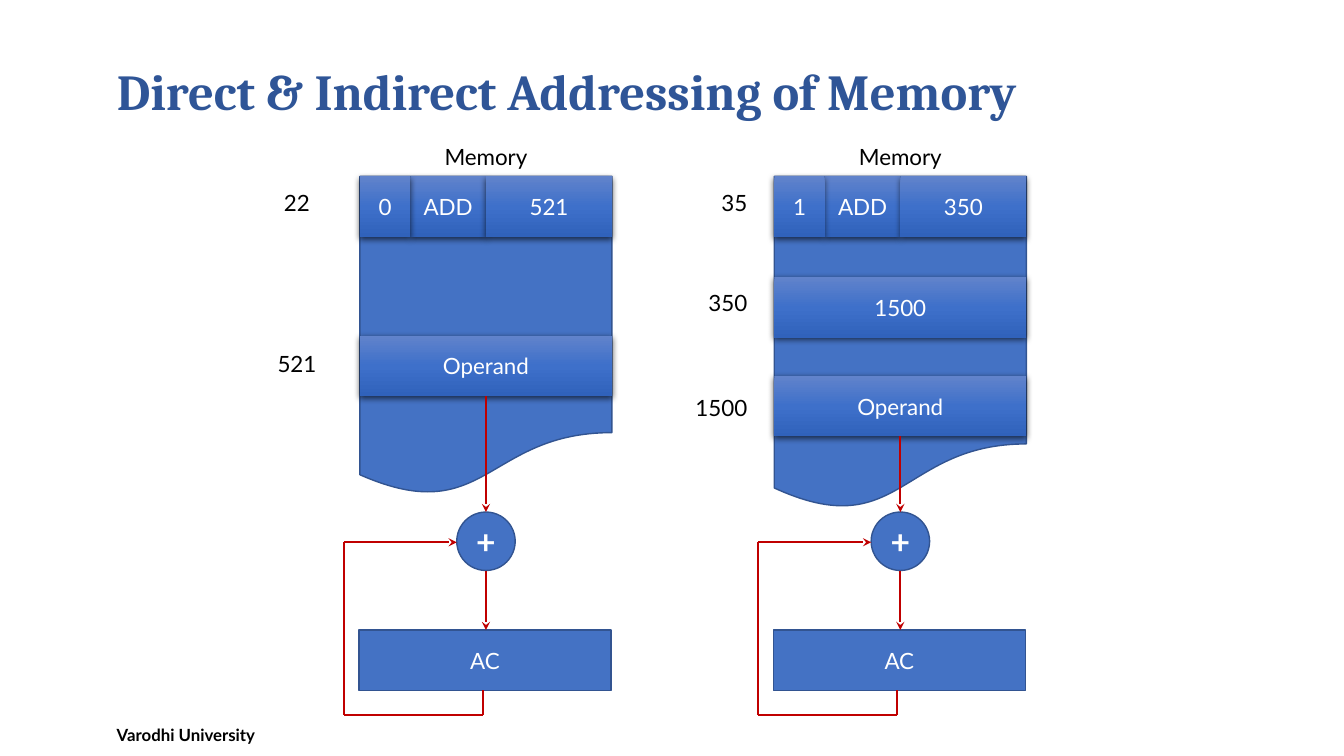
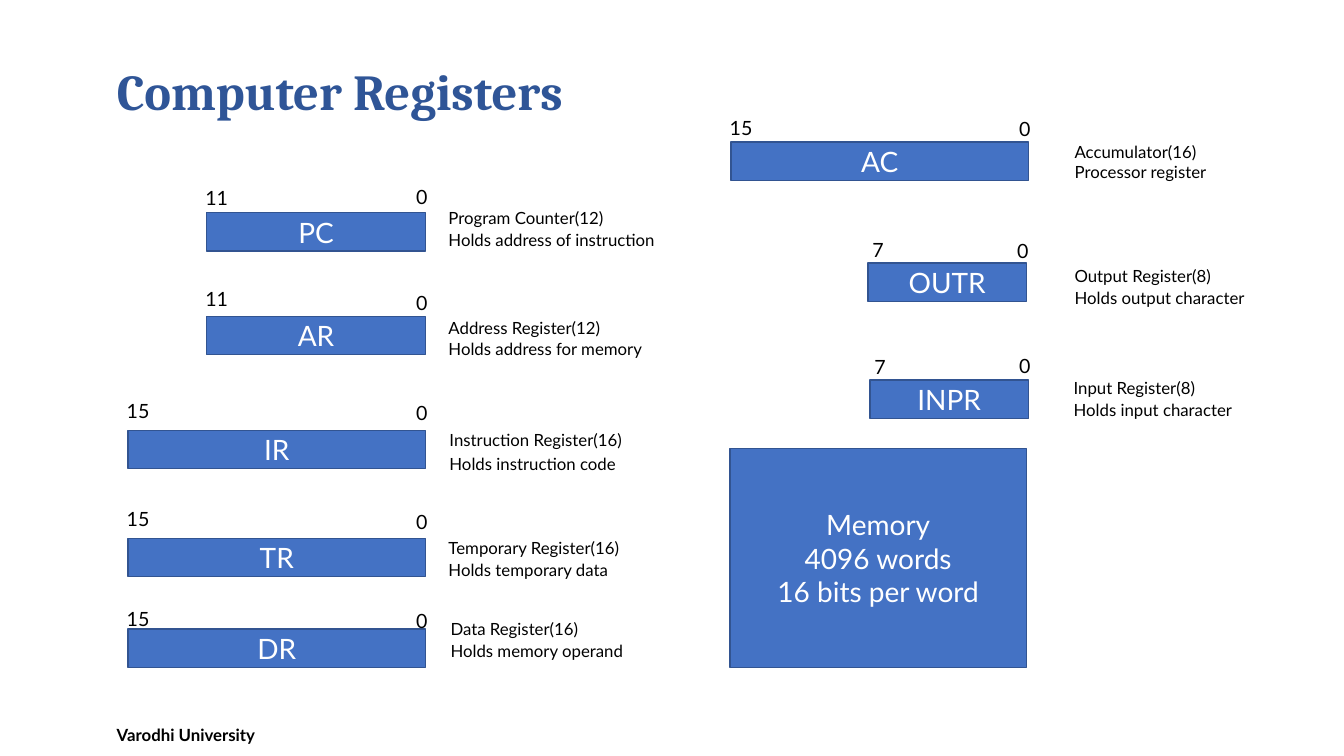
"""Build two slides on memory addressing and computer registers."""

from copy import deepcopy
from dataclasses import dataclass
from typing import Any

from lxml import etree
from pptx import Presentation
from pptx.dml.color import RGBColor
from pptx.enum.shapes import MSO_CONNECTOR, MSO_SHAPE
from pptx.enum.text import MSO_ANCHOR, MSO_AUTO_SIZE, PP_ALIGN
from pptx.oxml.ns import qn
from pptx.util import Inches, Pt

RECTANGLE = MSO_SHAPE.RECTANGLE
DOCUMENT = MSO_SHAPE.FLOWCHART_DOCUMENT
OVAL = MSO_SHAPE.OVAL
STRAIGHT = MSO_CONNECTOR.STRAIGHT
TOP, MIDDLE = MSO_ANCHOR.TOP, MSO_ANCHOR.MIDDLE
LEFT, CENTER, RIGHT = PP_ALIGN.LEFT, PP_ALIGN.CENTER, PP_ALIGN.RIGHT
NO_AUTOFIT = MSO_AUTO_SIZE.NONE

WHITE = RGBColor(0xFF, 0xFF, 0xFF)
BLACK = RGBColor(0x00, 0x00, 0x00)
TITLE_BLUE = RGBColor(0x2F, 0x55, 0x97)
FILL_BLUE = RGBColor(0x44, 0x72, 0xC4)
EDGE_BLUE = RGBColor(0x32, 0x54, 0x91)
ARROW_RED = RGBColor(0xC0, 0x00, 0x00)
CELL_STOPS = (
    (0.0, RGBColor(0x61, 0x83, 0xCB)),
    (0.5, RGBColor(0x3E, 0x70, 0xCA)),
    (1.0, RGBColor(0x30, 0x62, 0xBB)),
)

TITLE_FONT = {"name": "Cambria", "size": Pt(36), "bold": True}
FOOTER_FONT = {"name": "Lato", "size": Pt(12), "bold": True}
NOTE_FONT = {"name": "Lato", "size": Pt(12)}
BIT_FONT = {"name": "Lato", "size": Pt(14)}
MEMORY_FONT = {"name": "Lato", "size": Pt(16)}
REGISTER_FONT = {"name": "Lato", "size": Pt(20)}
PLUS_FONT = {"name": "Lato", "size": Pt(24), "bold": True}

CELL_HEIGHT = 0.6
MEMORY_WIDTH = 2.5
MEMORY_TOP = 1.75
REGISTER_HEIGHT = 0.38
REGISTER_WIDTHS = {8: 1.57, 12: 2.17, 16: 2.95}


@dataclass(frozen=True)
class MemoryWord:
    """A full-width memory word and its address."""

    text: str
    top: float
    address: str
    address_top: float


@dataclass(frozen=True)
class Addressing:
    """One addressing diagram."""

    left: float
    height: float
    mode: str
    target: str
    address: str
    address_align: Any
    words: tuple[MemoryWord, ...]


@dataclass(frozen=True)
class Register:
    """A register with its bit numbers and two notes."""

    name: str
    bits: int
    right: float
    top: float
    bit_tops: tuple[float, float]
    note_left: float
    notes: tuple[str, str]
    note_tops: tuple[float, float]


DIAGRAMS = (
    Addressing(3.57, 3.17, "0", "521", "22", CENTER, (
        MemoryWord("Operand", 3.33, "521", 3.42),
    )),
    Addressing(7.68, 3.31, "1", "350", "35", RIGHT, (
        MemoryWord("1500", 2.75, "350", 2.82),
        MemoryWord("Operand", 3.73, "1500", 3.86),
    )),
)

REGISTERS = (
    Register("PC", 12, 4.22, 2.11, (1.8, 1.79), 4.35,
             ("Program Counter(12)", "Holds address of instruction"), (2.01, 2.23)),
    Register("AR", 12, 4.22, 3.14, (2.8, 2.84), 4.35,
             ("Address Register(12)", "Holds address for memory"), (3.1, 3.31)),
    Register("IR", 16, 4.22, 4.27, (3.91, 3.93), 4.36,
             ("Instruction Register(16)", "Holds instruction code"), (4.21, 4.45)),
    Register("TR", 16, 4.22, 5.34, (4.98, 5.01), 4.35,
             ("Temporary Register(16)", "Holds temporary data"), (5.29, 5.5)),
    Register("DR", 16, 4.22, 6.24, (5.97, 5.99), 4.37,
             ("Data Register(16)", "Holds memory operand"), (6.09, 6.31)),
    Register("AC", 16, 10.2, 1.41, (1.1, 1.11), 10.56,
             ("Accumulator(16)", "Processor register"), (1.36, 1.56)),
    Register("OUTR", 8, 10.18, 2.61, (2.31, 2.32), 10.56,
             ("Output Register(8)", "Holds output character"), (2.59, 2.81)),
    Register("INPR", 8, 10.2, 3.77, (3.47, 3.46), 10.55,
             ("Input Register(8)", "Holds input character"), (3.7, 3.92)),
)


def apply(target: Any, values: dict[str, Any]) -> None:
    """Set each named attribute on the target."""
    for name, value in values.items():
        setattr(target, name, value)


def write(box: Any, text: str, font: dict[str, Any], color: RGBColor,
          align: Any = CENTER, anchor: Any = MIDDLE) -> None:
    """Fill a box with one formatted paragraph per line."""
    frame = box.text_frame
    apply(frame, {"text": text, "word_wrap": True, "auto_size": NO_AUTOFIT,
                  "vertical_anchor": anchor})
    for para in frame.paragraphs:
        para.alignment = align
        for span in para.runs:
            apply(span.font, font)
            span.font.color.rgb = color


def add_label(page: Any, left: float, top: float, width: float, height: float,
              text: str, font: dict[str, Any], align: Any = CENTER,
              anchor: Any = TOP) -> None:
    """Add black text in a box."""
    box = page.shapes.add_textbox(
        Inches(left), Inches(top), Inches(width), Inches(height))
    write(box, text, font, BLACK, align, anchor)


def add_block(page: Any, kind: Any, left: float, top: float, width: float,
              height: float, text: str = "",
              font: dict[str, Any] = MEMORY_FONT) -> Any:
    """Add a flat blue shape with white text."""
    block = page.shapes.add_shape(
        kind, Inches(left), Inches(top), Inches(width), Inches(height))
    block.shadow.inherit = False
    block.fill.solid()
    block.fill.fore_color.rgb = FILL_BLUE
    block.line.color.rgb = EDGE_BLUE
    block.line.width = Pt(1)
    if text:
        write(block, text, font, WHITE)
    return block


def add_cell(page: Any, left: float, top: float, width: float, text: str) -> None:
    """Add a shaded memory cell with a soft shadow."""
    cell = add_block(page, RECTANGLE, left, top, width, CELL_HEIGHT, text)
    cell.line.fill.background()
    cell.fill.gradient()
    cell.fill.gradient_angle = 270
    properties = cell.element.spPr
    stop_list = properties.find(f"{qn('a:gradFill')}/{qn('a:gsLst')}")
    stop_list.insert(1, deepcopy(stop_list[0]))
    for stop, (position, color) in zip(cell.fill.gradient_stops, CELL_STOPS):
        stop.position = position
        stop.color.rgb = color
    shadow = etree.SubElement(
        properties.find(qn("a:effectLst")), qn("a:outerShdw"),
        blurRad=str(Pt(4.5)), dist=str(Pt(1.5)), dir="5400000",
        algn="ctr", rotWithShape="0")
    shade = etree.SubElement(shadow, qn("a:srgbClr"), val=str(BLACK))
    etree.SubElement(shade, qn("a:alpha"), val="63000")


def add_line(page: Any, start: tuple[float, float], end: tuple[float, float],
             arrow: bool = False) -> None:
    """Add a red line, with an arrowhead at its end if asked."""
    line = page.shapes.add_connector(
        STRAIGHT, *(Inches(value) for value in (*start, *end)))
    line.line.color.rgb = ARROW_RED
    line.line.width = Pt(1.5)
    properties = line.element.spPr
    if arrow:
        etree.SubElement(properties.find(qn("a:ln")), qn("a:tailEnd"), type="stealth")
    etree.SubElement(properties, qn("a:effectLst"))


def add_page(deck: Any, heading: str) -> Any:
    """Add a titled slide with the shared footer."""
    page = deck.slides.add_slide(deck.slide_layouts[5])
    title = page.shapes.title
    apply(title, {"left": Inches(1.06), "top": Inches(0.21),
                  "width": Inches(11.63), "height": Inches(1.45)})
    write(title, heading, TITLE_FONT, TITLE_BLUE, LEFT)
    title.text_frame.paragraphs[0].line_spacing = 0.9
    add_label(page, 1.06, 7.09, 8, 0.4, "Varodhi University", FOOTER_FONT, LEFT, MIDDLE)
    return page


def draw_addressing(page: Any, diagram: Addressing) -> None:
    """Draw memory, adder, accumulator and the arrows between them."""
    left = diagram.left
    middle = left + MEMORY_WIDTH / 2
    add_block(page, DOCUMENT, left, MEMORY_TOP, MEMORY_WIDTH, diagram.height)
    add_label(page, left, 1.37, MEMORY_WIDTH, 0.37, "Memory", MEMORY_FONT)
    for offset, width, text in ((0.5, 0.75, "ADD"), (1.25, 1.25, diagram.target),
                                (0, 0.5, diagram.mode)):
        add_cell(page, left + offset, MEMORY_TOP, width, text)
    for word in diagram.words:
        add_cell(page, left, word.top, MEMORY_WIDTH, word.text)
    addresses = [(diagram.address, 1.83)]
    addresses += [(word.address, word.address_top) for word in diagram.words]
    for address, top in addresses:
        add_label(page, left - 1.08, top, 0.91, 0.37, address, MEMORY_FONT,
                  diagram.address_align)

    add_block(page, RECTANGLE, left - 0.01, 6.25, MEMORY_WIDTH, CELL_HEIGHT, "AC")
    add_block(page, OVAL, middle - 0.29, 5.08, 0.58, 0.58, "+", PLUS_FONT)
    add_line(page, (middle, diagram.words[-1].top + CELL_HEIGHT), (middle, 5.08), True)
    add_line(page, (middle, 5.66), (middle, 6.25), True)
    loop = ((middle - 0.03, 6.85), (middle - 0.03, 7.09), (left - 0.16, 7.09),
            (left - 0.16, 5.38), (middle - 0.29, 5.38))
    for index, (start, end) in enumerate(zip(loop, loop[1:]), start=2):
        add_line(page, start, end, arrow=index == len(loop))


def draw_register(page: Any, register: Register) -> None:
    """Draw a register bar with its bit numbers and notes."""
    width = REGISTER_WIDTHS[register.bits]
    left = register.right - width
    add_block(page, RECTANGLE, left, register.top, width, REGISTER_HEIGHT,
              register.name, REGISTER_FONT)
    high_top, low_top = register.bit_tops
    add_label(page, left - 0.15, high_top, 0.5, 0.34, str(register.bits - 1), BIT_FONT)
    add_label(page, register.right - 0.19, low_top, 0.3, 0.34, "0", BIT_FONT)
    for note, top in zip(register.notes, register.note_tops):
        add_label(page, register.note_left, top, 2.6, 0.3, note, NOTE_FONT, LEFT)


def main() -> None:
    """Build and save the deck."""
    deck = Presentation()
    apply(deck, {"slide_width": Inches(13.33), "slide_height": Inches(7.5)})

    page = add_page(deck, "Direct & Indirect Addressing of Memory")
    for diagram in DIAGRAMS:
        draw_addressing(page, diagram)

    page = add_page(deck, "Computer Registers")
    for register in REGISTERS:
        draw_register(page, register)
    add_block(page, RECTANGLE, 7.24, 4.45, 2.94, 2.17,
              "Memory\n4096 words\n16 bits per word", REGISTER_FONT)

    deck.save("out.pptx")


if __name__ == "__main__":
    main()
